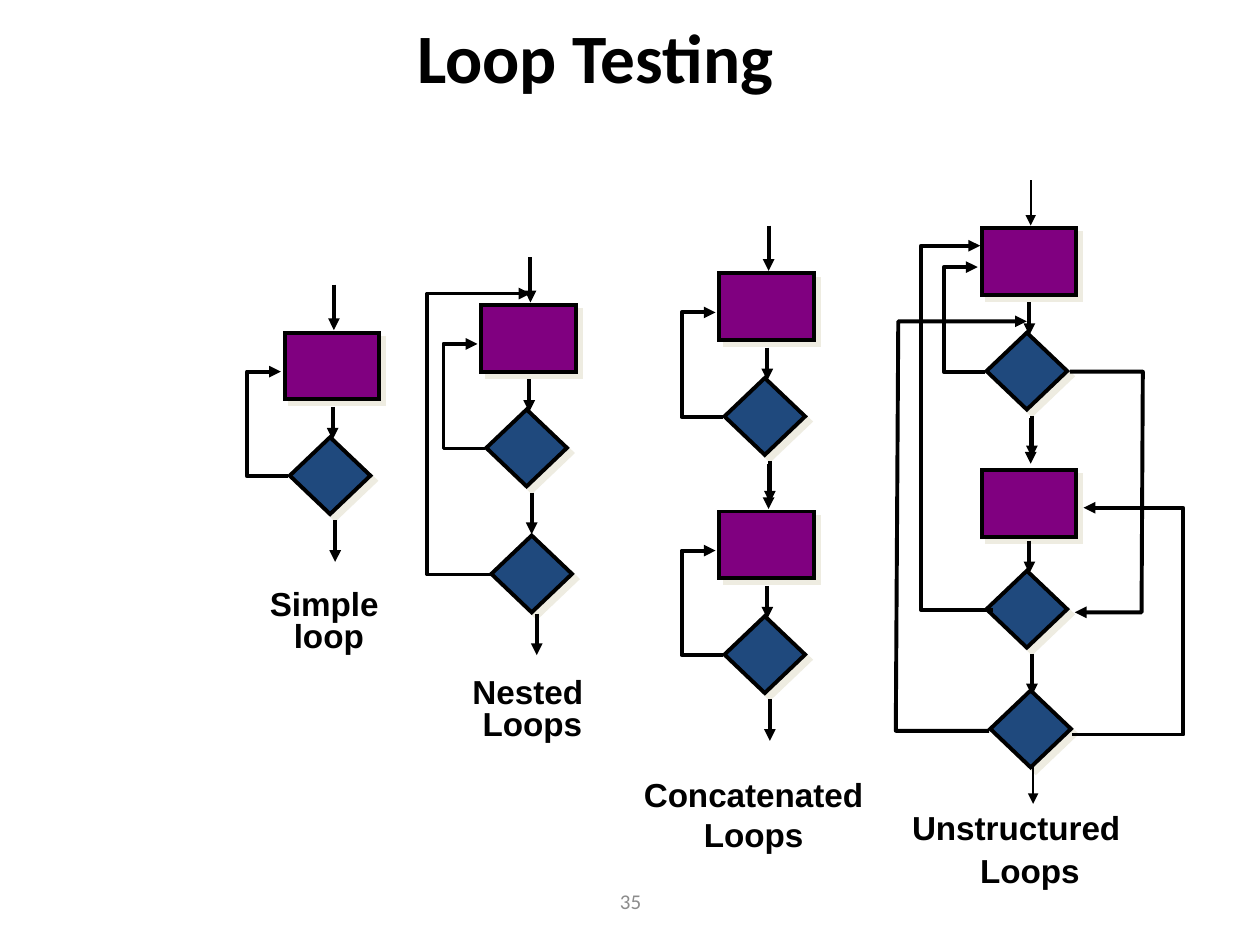
import pptx
import pptx.util
import pptx.dml.color
import pptx.enum.shapes
import pptx.enum.text
import pptx.oxml
import pptx.oxml.ns

Inches = pptx.util.Inches
Pt = pptx.util.Pt
RGB = pptx.dml.color.RGBColor
Kind = pptx.enum.shapes.MSO_SHAPE
Align = pptx.enum.text.PP_ALIGN
Fit = pptx.enum.text.MSO_AUTO_SIZE
Mid = pptx.enum.text.MSO_ANCHOR.MIDDLE

BLACK = RGB(0, 0, 0)
GRAY = RGB(0x8C, 0x8C, 0x8C)
PURPLE = RGB(0x80, 0, 0x80)
BLUE = RGB(0x1F, 0x49, 0x7D)
CREAM = RGB(0xEE, 0xEC, 0xE1)
THICK, THIN = 2.25, 1

TITLE = "Loop Testing"
PAGE = "35"
LABELS = [
    (["Simple ", "loop"], (2.04, 4.64, 1.14, 0.6), Align.CENTER, 0.8),
    (["Nested ", "Loops"], (3.65, 5.34, 1.15, 0.6), Align.CENTER, 0.8),
    (["Concatenated", "Loops"], (4.97, 6.1, 2.02, 0.73), Align.CENTER, 1),
    (["Unstructured"], (7.14, 6.36, 2.37, 0.41), Align.LEFT, 1),
    (["Loops"], (7.68, 6.7, 0.99, 0.41), Align.LEFT, 1),
]
UNITS = [
    dict(x=2.26, y=2.64),
    dict(x=3.82, y=2.42),
    dict(x=5.71, y=2.17),
    dict(x=5.71, y=4.06),
    dict(x=7.79, y=1.81, entry=THIN),
    dict(x=7.79, y=3.7, drop=0.03, loop=False),
]
TESTS = [(3.9, 4.25), (7.86, 5.48)]
EXITS = [(4.26, 4.87, 5.2, THICK), (8.2, 6.06, 6.38, THIN)]
PATHS = [
    [(3.9, 4.56), (3.39, 4.56), (3.39, 2.33), (4.21, 2.33)],
    [(7.88, 4.84), (7.31, 4.84), (7.31, 1.95), (7.78, 1.95)],
    [(8.49, 2.95), (9.07, 2.95), (9.06, 4.86), (8.53, 4.86)],
    [(8.51, 5.83), (9.39, 5.83), (9.39, 4.03), (8.6, 4.03)],
    [(7.85, 5.8), (7.11, 5.8), (7.13, 2.55), (8.15, 2.55)],
]


def add(parent, tag, **attrs):
    item = pptx.oxml.parse_xml(f"<a:{tag} {pptx.oxml.ns.nsdecls('a')}/>")
    for key, value in attrs.items():
        item.set(key, str(value))
    parent.append(item)
    return item


def stroke(shape, width):
    shape.line.color.rgb = BLACK
    shape.line.width = Pt(width)
    return shape.line._get_or_add_ln()


def node(kind, x, y, w, h, color):
    shape = shapes.add_shape(kind, *map(Inches, (x, y, w, h)))
    shape.fill.solid()
    shape.fill.fore_color.rgb = color
    add(stroke(shape, THICK), "miter", lim=800000)
    shape.shadow.inherit = False
    effects = shape._element.spPr.find(pptx.oxml.ns.qn("a:effectLst"))
    shade = add(effects, "outerShdw", blurRad=0, dist=Pt(4.2),
                dir=45 * 60000, algn="ctr", rotWithShape=0)
    add(shade, "srgbClr", val=CREAM)


def test(x, y):
    node(Kind.DIAMOND, x, y, 0.64, 0.61, BLUE)


def arrow(x, top, end, width=THICK):
    line = shapes.add_connector(pptx.enum.shapes.MSO_CONNECTOR.STRAIGHT,
                                *map(Inches, (x, top, x, end)))
    add(stroke(line, width), "tailEnd", type="triangle")
    add(line._element.spPr, "effectLst")


def route(points):
    first, *rest = [tuple(map(Inches, p)) for p in points]
    pen = shapes.build_freeform(*first)
    pen.add_line_segments(rest, close=False)
    shape = pen.convert_to_shape()
    shape.fill.background()
    add(stroke(shape, THICK), "tailEnd", type="triangle")
    shape.shadow.inherit = False


def unit(x, y, entry=THICK, drop=0, loop=True):
    node(Kind.RECTANGLE, x, y + drop, 0.75, 0.53, PURPLE)
    test(x + 0.04, y + 0.83)
    arrow(x + 0.39, y - 0.38, y - 0.02, entry)
    arrow(x + 0.38, y + 0.59, y + 0.85)
    if loop:
        low, high, left = y + 1.14, y + 0.31, x - 0.3
        route([(x + 0.03, low), (left, low), (left, high), (x - 0.03, high)])
    arrow(x + 0.4, y + 1.49, y + 1.82)


def write(shape, lines, box, size, font, color, bold=True,
          align=Align.CENTER, space=1):
    shape.left, shape.top, shape.width, shape.height = map(Inches, box)
    frame = shape.text_frame
    frame.text = "\n".join(lines)
    for para in frame.paragraphs:
        para.alignment = align
        para.line_spacing = space
        for run in para.runs:
            run.font.size = Pt(size)
            run.font.name = font
            run.font.bold = bold
            run.font.color.rgb = color
    return frame


def blank():
    return shapes.add_textbox(0, 0, 0, 0)


deck = pptx.Presentation()
deck.slide_width, deck.slide_height = Inches(10), Inches(7.5)
slide = deck.slides.add_slide(deck.slide_layouts[5])
shapes = slide.shapes

head = write(shapes.title, [TITLE], (2.12, 0.17, 5.21, 0.55), 39.6,
             "Calibri", BLACK)
head.auto_size = Fit.NONE
head.vertical_anchor = Mid
foot = write(blank(), [PAGE], (3.42, 6.95, 3.17, 0.4), 12, "Calibri", GRAY,
             bold=False)
foot.word_wrap = True
foot.vertical_anchor = Mid
for lines, box, align, space in LABELS:
    label = write(blank(), lines, box, 19, "Arial", BLACK,
                  align=align, space=space)
    label.word_wrap = False
    label.auto_size = Fit.SHAPE_TO_FIT_TEXT

for part in UNITS:
    unit(**part)
for spot in TESTS:
    test(*spot)
for leave in EXITS:
    arrow(*leave)
for points in PATHS:
    route(points)

deck.save("out.pptx")
